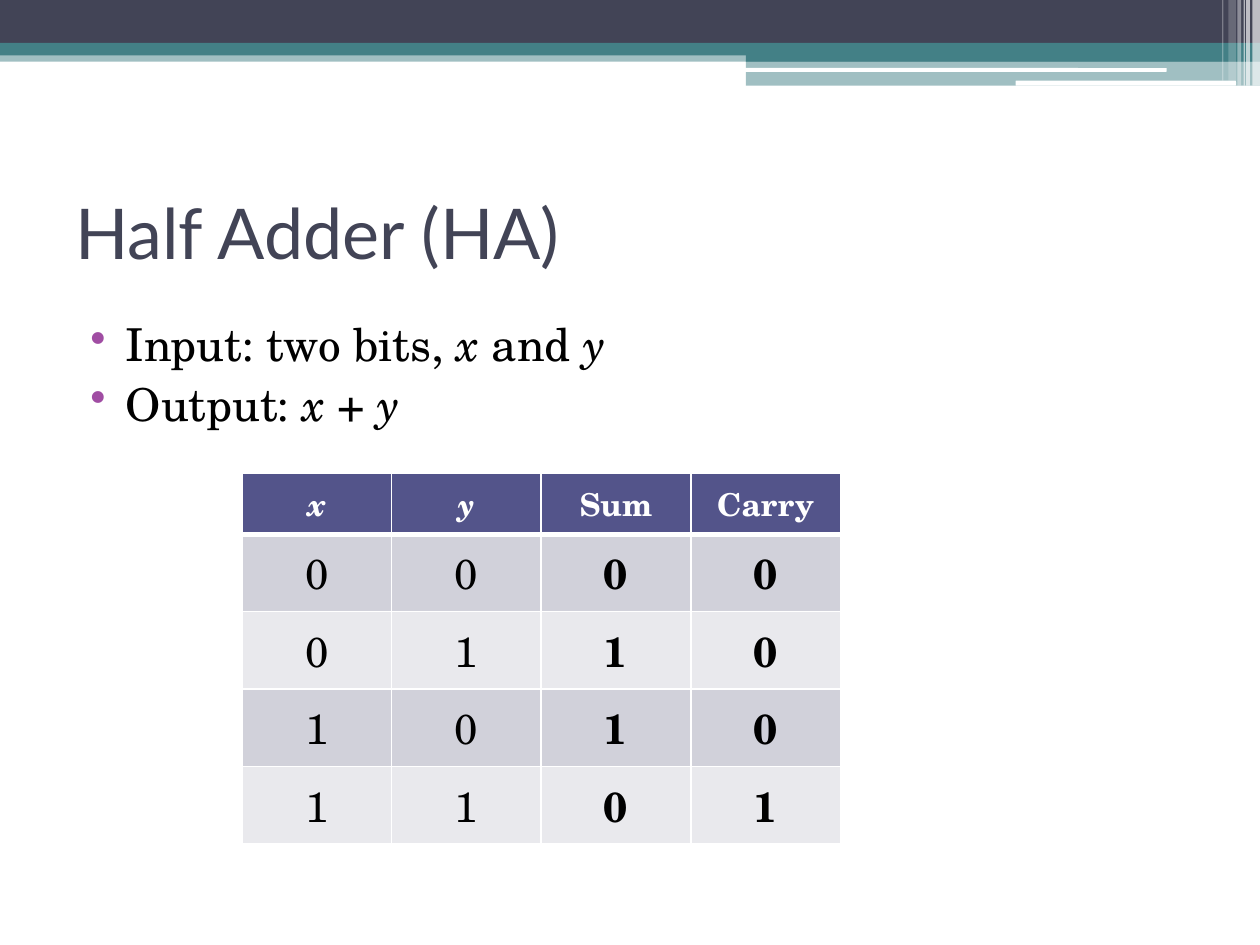
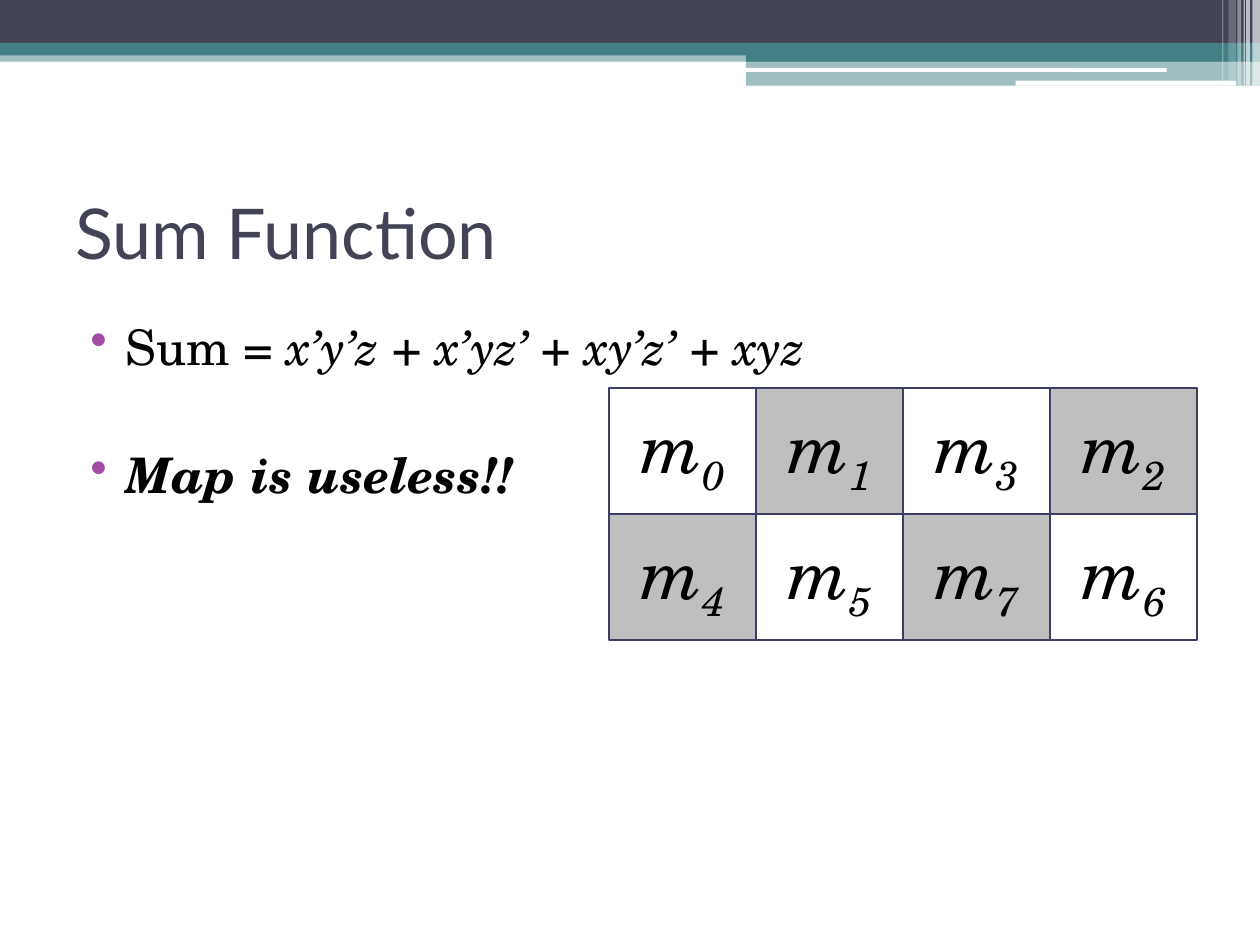
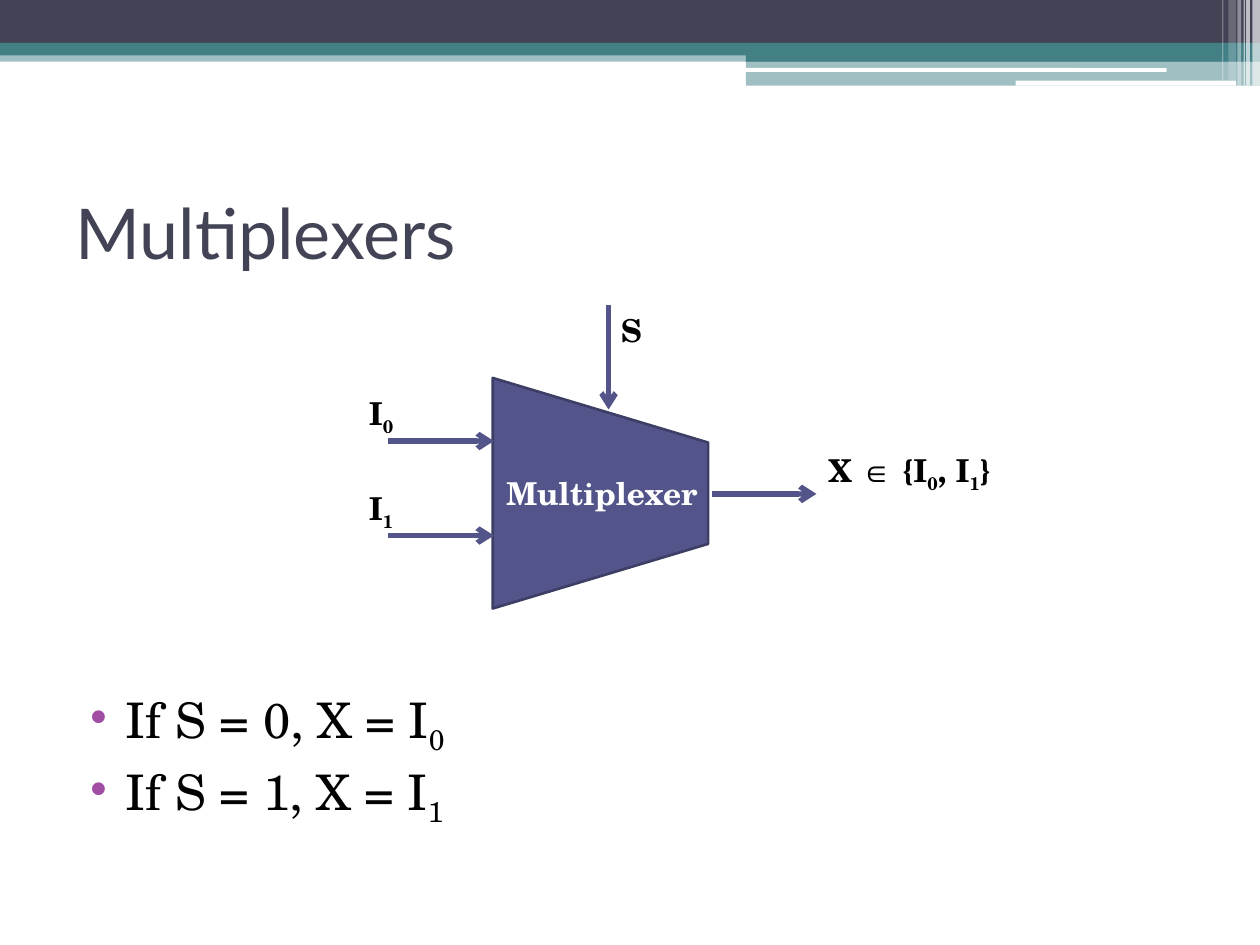
import pptx
import pptx.dml.color
import pptx.enum.shapes
import pptx.enum.text
import pptx.oxml
import pptx.oxml.ns
import pptx.util
from pptx.util import Inches

SHAPES = pptx.enum.shapes.MSO_SHAPE
MIDDLE = pptx.enum.text.MSO_ANCHOR.MIDDLE
CENTER = pptx.enum.text.PP_ALIGN.CENTER
HEADING_FONT, BODY_FONT = "Lato", "TeX Gyre Schola"
NAVY, TEAL, INDIGO, OUTLINE = "424456", "438086", "53548A", "3D3E66"
PURPLE, GRAY, WHITE, BLACK = "A04DA3", "BFBFBF", "FFFFFF", "000000"
ROW_TINTS = ("D1D1DA", "E9E9ED")

BANDS = [
    (0, 0.4, 10, 0.09, TEAL, 50),
    (0, 0, 10, 0.34, NAVY, 100),
    (0, 0.34, 10, 0.1, TEAL, 100),
    (5.92, 0.39, 4.08, 0.1, TEAL, 100),
    (5.92, 0.48, 4.08, 0.2, TEAL, 50),
]
RULES = [(5.91, 0.54, 3.35, 0.03), (8.06, 0.64, 1.75, 0.04)]
STRIPES = [
    (9.94, 0.06, 0.68, 65), (9.89, 0.03, 0.68, 65), (9.87, 0.01, 0.68, 60),
    (9.82, 0.03, 0.68, 40), (9.75, 0.06, 0.64, 20), (9.7, 0.01, 0.64, 30),
]


def color(value):
    """Turn a hex string into a colour."""
    return pptx.dml.color.RGBColor.from_string(value)


def element(markup):
    """Parse a DrawingML element written with the a: prefix."""
    head, mark, rest = markup.partition("/>") if markup.find(">") == markup.find("/>") + 1 else markup.partition(">")
    return pptx.oxml.parse_xml(f"{head} {pptx.oxml.ns.nsdecls('a')}{mark}{rest}")


class Pages:
    """Draws styled elements on the current slide."""

    def __init__(self):
        """Start an empty 10 by 7.5 inch deck."""
        self.deck = pptx.Presentation()
        self.deck.slide_width, self.deck.slide_height = Inches(10), Inches(7.5)
        self.page = None

    def start(self, title):
        """Add a slide with the shared bands and a title."""
        self.page = self.deck.slides.add_slide(self.deck.slide_layouts[6])
        for *place, fill, alpha in BANDS:
            self.shape(SHAPES.RECTANGLE, place, fill, alpha=alpha)
        for place in RULES:
            self.shape(SHAPES.ROUNDED_RECTANGLE, place, WHITE)
        for left, width, height, alpha in STRIPES:
            self.shape(SHAPES.RECTANGLE, (left, 0, width, height), WHITE, alpha=alpha)
        frame = self.text_box((0.5, 1.25, 9, 1.17))
        frame.vertical_anchor = MIDDLE
        self.spans(frame.paragraphs[0], [(title, "")], 40, NAVY, HEADING_FONT)

    def spans(self, para, parts, size, ink=BLACK, font=BODY_FONT):
        """Add runs; style letters are b bold, i italic, s subscript."""
        for text, style in parts:
            span = para.add_run()
            span.text = text
            span.font.name, span.font.size = font, pptx.util.Pt(size)
            span.font.color.rgb = color(ink)
            span.font.bold, span.font.italic = "b" in style, "i" in style
            if "s" in style:
                span._r.get_or_add_rPr().set("baseline", "-25000")

    def shape(self, kind, place, fill=None, line=None, alpha=100):
        """Add a preset shape with optional fill, outline and opacity."""
        shape = self.page.shapes.add_shape(kind, *map(Inches, place))
        shape.shadow.inherit = False
        if fill:
            shape.fill.solid()
            shape.fill.fore_color.rgb = color(fill)
        else:
            shape.fill.background()
        if alpha < 100:
            tint = shape._element.spPr.find(".//" + pptx.oxml.ns.qn("a:srgbClr"))
            tint.append(element(f'<a:alpha val="{alpha * 1000}"/>'))
        if line:
            shape.line.color.rgb, shape.line.width = color(line), pptx.util.Pt(1.5)
        else:
            shape.line.fill.background()
        return shape

    def text_box(self, place, wrap=True):
        """Add a text box and return its frame."""
        frame = self.page.shapes.add_textbox(*map(Inches, place)).text_frame
        frame.word_wrap = wrap
        return frame

    def label(self, place, parts, ink=BLACK):
        """Add an unwrapped diagram label."""
        frame = self.text_box(place, wrap=False)
        frame.auto_size = pptx.enum.text.MSO_AUTO_SIZE.SHAPE_TO_FIT_TEXT
        self.spans(frame.paragraphs[0], parts, 18, ink)

    def bullets(self, top, height, lines, size, gap=3):
        """Add a bulleted list, with the gap in points before later lines."""
        frame = self.text_box((0.5, top, 9, height))
        for index, parts in enumerate(lines):
            para = frame.add_paragraph() if index else frame.paragraphs[0]
            para.space_before = pptx.util.Pt(gap if index else 3)
            props = para._p.get_or_add_pPr()
            props.set("marL", str(Inches(0.4)))
            props.set("indent", str(Inches(-0.28)))
            props.append(element(f'<a:buClr><a:srgbClr val="{PURPLE}"/></a:buClr>'))
            props.append(element('<a:buChar char="•"/>'))
            self.spans(para, parts, size)

    def arrow(self, start, end):
        """Add a straight arrow between two points."""
        line = self.page.shapes.add_connector(
            pptx.enum.shapes.MSO_CONNECTOR.STRAIGHT, *map(Inches, (*start, *end)))
        line.line.color.rgb, line.line.width = color(INDIGO), pptx.util.Pt(3)
        line.line._get_or_add_ln().append(element('<a:tailEnd type="arrow"/>'))
        line._element.spPr.append(element("<a:effectLst/>"))

    def cell(self, cell, text, style, size, ink, fill, bottom=1):
        """Fill one table cell and draw its white borders."""
        cell.fill.solid()
        cell.fill.fore_color.rgb = color(fill)
        cell.vertical_anchor = MIDDLE
        para = cell.text_frame.paragraphs[0]
        para.alignment = CENTER
        self.spans(para, [(text, style)], size, ink)
        props = cell._tc.get_or_add_tcPr()
        for index, (side, width) in enumerate(zip("LRTB", (1, 1, 1, bottom))):
            props.insert(index, element(
                f'<a:ln{side} w="{pptx.util.Pt(width)}"><a:solidFill>'
                f'<a:srgbClr val="{WHITE}"/></a:solidFill></a:ln{side}>'))

    def truth_table(self, place, header, rows, heights):
        """Add a truth table whose last two columns are bold outputs."""
        table = self.page.shapes.add_table(
            len(rows) + 1, len(header), *map(Inches, place)).table
        for column in table.columns:
            column.width = Inches(place[2] / len(header))
        for index, row in enumerate(table.rows):
            row.height = Inches(heights[min(index, 1)])
        for column, (text, style) in enumerate(header):
            self.cell(table.cell(0, column), text, style, 18, WHITE, INDIGO, bottom=3)
        for index, values in enumerate(rows):
            for column, text in enumerate(values):
                self.cell(table.cell(index + 1, column), text, "b" if column > 1 else "",
                          24, BLACK, ROW_TINTS[index % 2])

    def minterm_map(self, right, top, width, height, rows, active):
        """Add a Karnaugh map that shades the active minterms."""
        for down, minterms in enumerate(rows):
            for across, minterm in enumerate(minterms):
                left = right - (len(minterms) - across) * width
                box = self.shape(SHAPES.RECTANGLE, (left, top + down * height, width, height),
                                 GRAY if minterm in active else None, OUTLINE)
                box.text_frame.vertical_anchor = MIDDLE
                para = box.text_frame.paragraphs[0]
                para.alignment = CENTER
                self.spans(para, [("m", "i"), (minterm, "is")], 40)


def half_adder(pages):
    """Build the half adder slide."""
    pages.start("Half Adder (HA)")
    pages.bullets(2.46, 0.87, [
        [("Input: two bits, ", ""), ("x", "i"), (" and ", ""), ("y", "i")],
        [("Output: ", ""), ("x ", "i"), ("+ ", ""), ("y", "i")],
    ], 25.9)
    header = [("x", "bi"), ("y", "bi"), ("Sum", "b"), ("Carry", "b")]
    pages.truth_table((1.92, 3.76, 4.75, 2.94), header,
                      ["0000", "0110", "1010", "1101"], (0.48, 0.615))


def sum_function(pages):
    """Build the sum function slide."""
    pages.start("Sum Function")
    pages.bullets(2.46, 4.73, [
        [("Sum = ", ""), ("x’y’z + x’yz’ + xy’z’ + xyz", "i")],
        [("Map is useless!!", "bi")],
    ], 28, gap=39.5)
    pages.minterm_map(9.5, 3.08, 7 / 6, 1, ["0132", "4576"], "1247")


def multiplexers(pages):
    """Build the multiplexer slide."""
    pages.start("Multiplexers")
    pages.bullets(5.42, 1.77, [
        [(f"If S = {bit}, X = I", ""), (bit, "s")] for bit in "01"], 28)
    body = pages.shape(SHAPES.TRAPEZOID, (3.85, 3.06, 1.83, 1.71), INDIGO, OUTLINE)
    body.adjustments[0] = 0.3
    body.rotation = 90
    pages.label((3.92, 3.71, 1.73, 0.4), [("Multiplexer", "b")], WHITE)
    for bit, level in (("0", 3.5), ("1", 4.25)):
        pages.arrow((3.08, level), (3.92, level))
        pages.label((2.83, level - 0.42, 0.43, 0.4), [("I", "b"), (bit, "bs")])
    pages.arrow((5.65, 3.92), (6.48, 3.92))
    pages.arrow((4.83, 2.42), (4.83, 3.25))
    pages.label((4.83, 2.42, 0.37, 0.4), [("S", "b")])
    pages.label((6.48, 3.53, 1.54, 0.4), [
        ("X ∈ {I", "b"), ("0", "bs"), (", I", "b"), ("1", "bs"), ("}", "b")])


def main():
    """Build and save the deck."""
    pages = Pages()
    for build in (half_adder, sum_function, multiplexers):
        build(pages)
    pages.deck.save("out.pptx")


if __name__ == "__main__":
    main()
